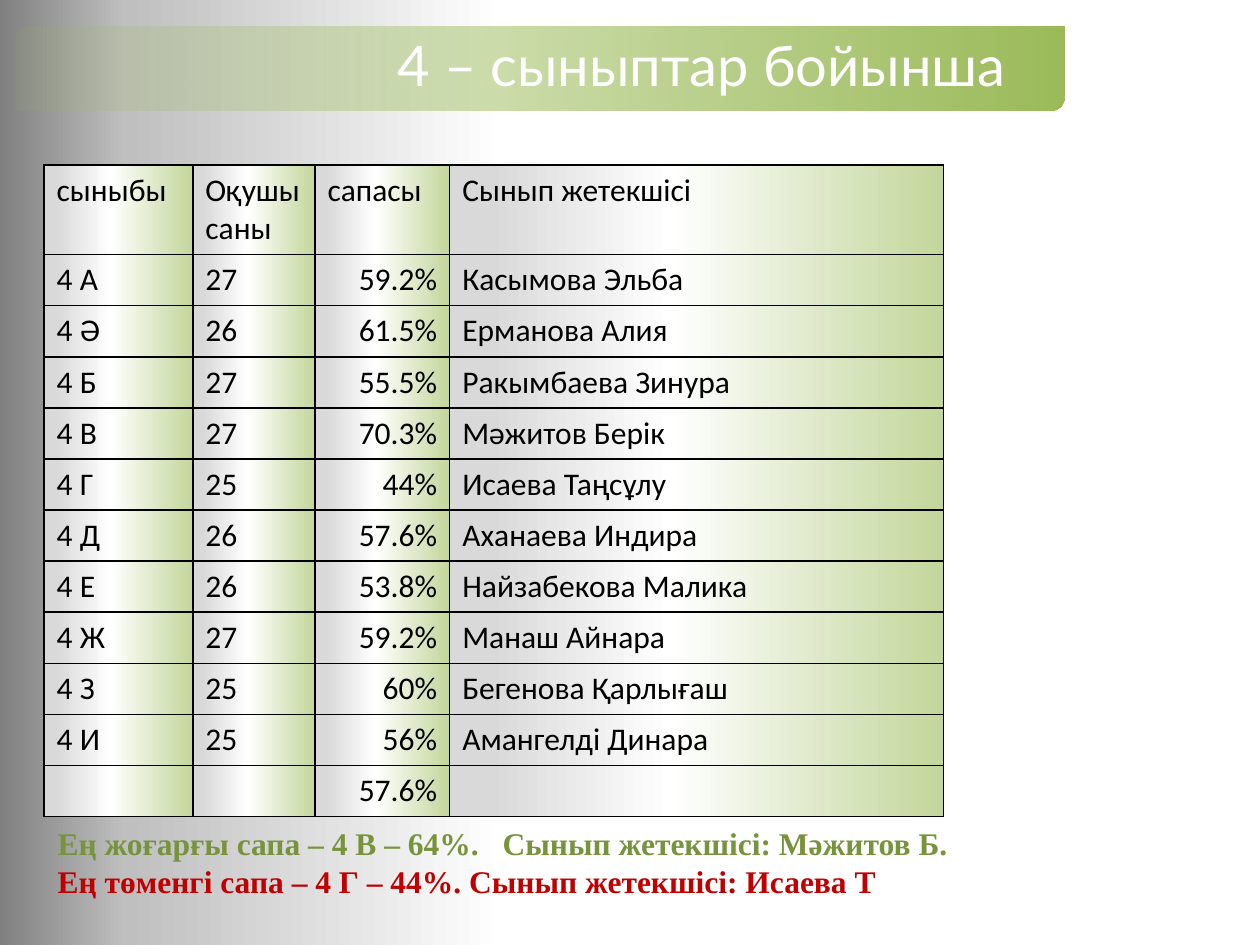
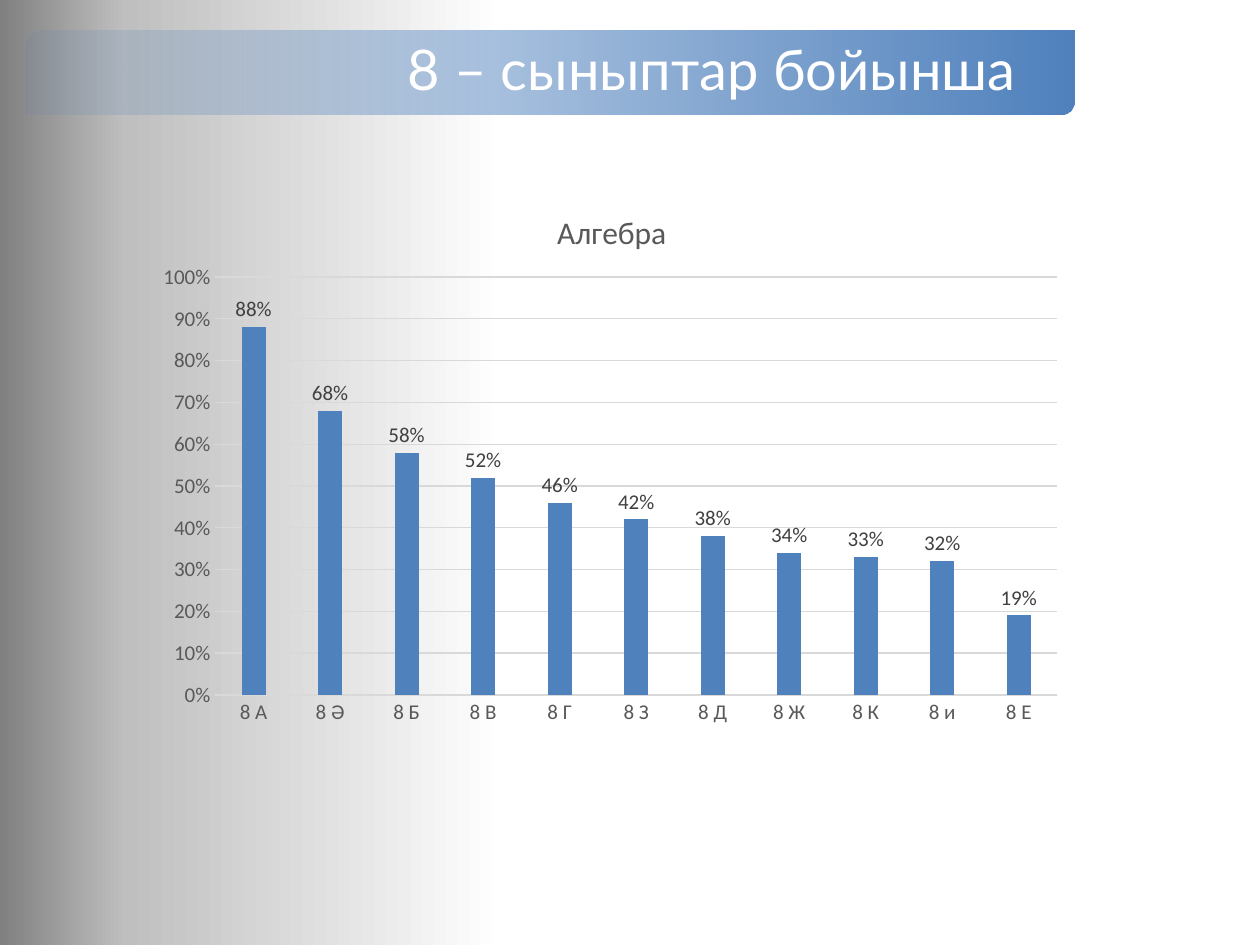
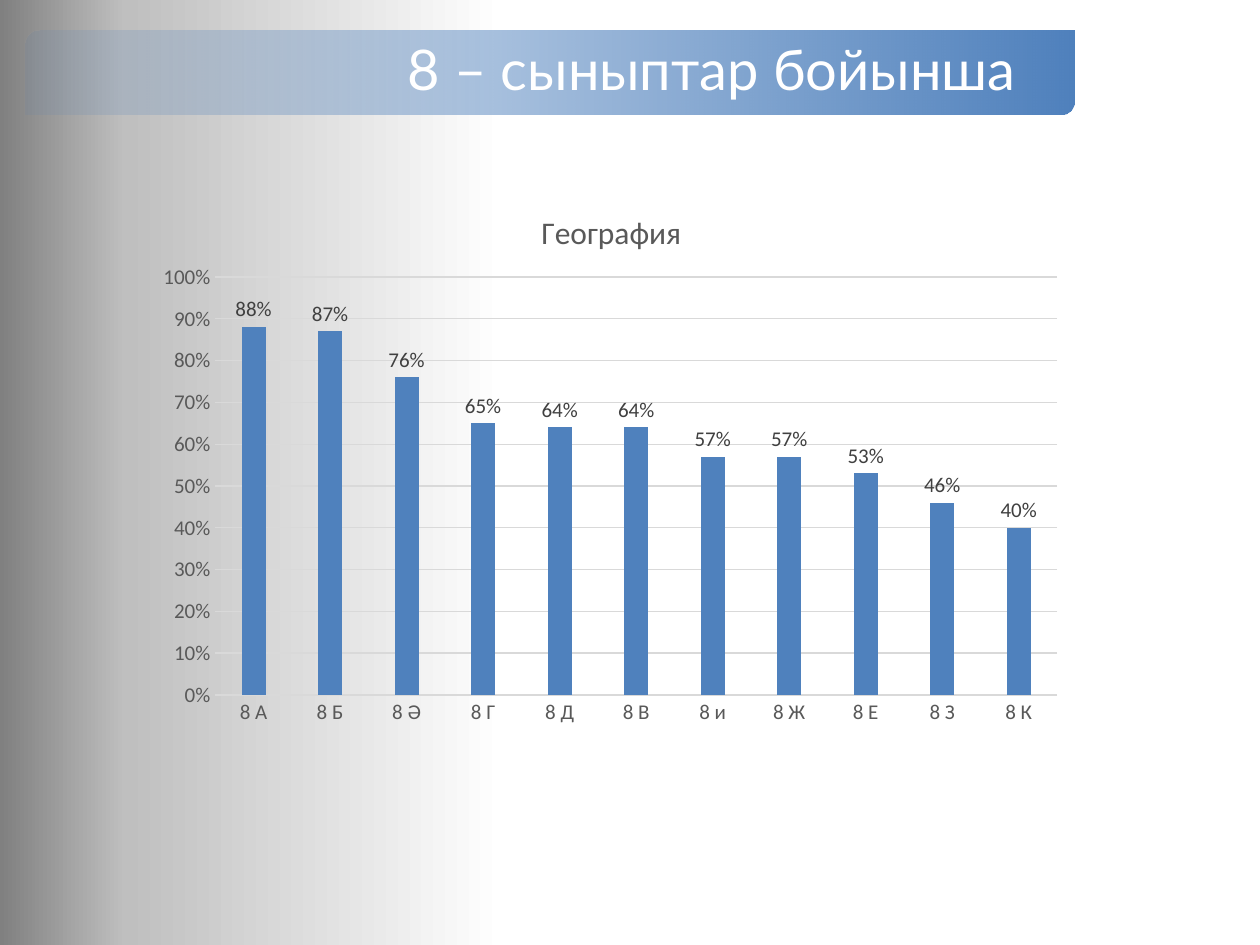
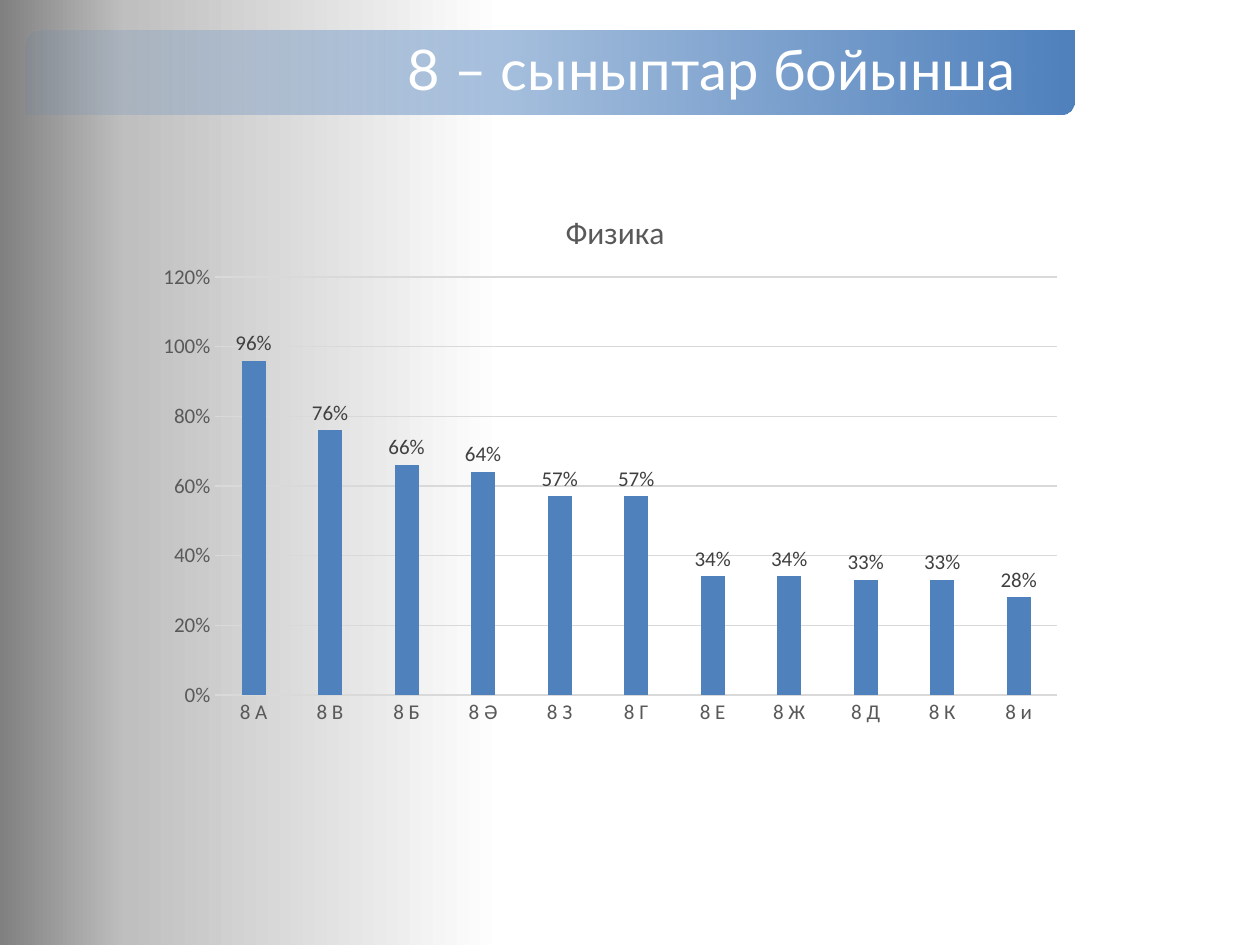
from dataclasses import dataclass

from lxml.etree import SubElement
from pptx import Presentation
from pptx.chart.data import CategoryChartData
from pptx.dml.color import RGBColor
from pptx.enum.chart import XL_CHART_TYPE as ChartType
from pptx.enum.chart import XL_LABEL_POSITION as LabelPosition
from pptx.enum.chart import XL_TICK_MARK as TickMark
from pptx.enum.shapes import MSO_SHAPE as Preset
from pptx.enum.text import MSO_ANCHOR as Anchor
from pptx.enum.text import MSO_AUTO_SIZE as AutoSize
from pptx.enum.text import PP_ALIGN as Align
from pptx.oxml.ns import qn
from pptx.util import Inches, Pt


@dataclass(frozen=True)
class Theme:
    green: str = "9BBB59"
    blue: str = "4F81BD"
    white: str = "FFFFFF"
    black: str = "000000"
    best: str = "77933C"
    worst: str = "C00000"
    axis_text: str = "595959"
    label_text: str = "404040"
    grid: str = "D9D9D9"
    title_font: str = "Lato"
    body_font: str = "Calibri"
    note_font: str = "Times New Roman"
    title_size: int = 32
    body_size: int = 18
    chart_size: int = 12
    # Gradient stops: position in percent, colour, opacity in percent
    page_stops: tuple = ((60, "FFFFFF", 100), (90, "BFBFBF", 100), (100, "808080", 100))
    cell_stops: tuple = ((0, "C3D69B", 100), (55, "FFFFFF", 100), (92, "D9D9D9", 100))


THEME = Theme()

GRADE_4_BAND = (0.12, 0.21, 8.33, 0.67)
GRADE_8_BAND = (0.2, 0.24, 8.33, 0.67)
TABLE_BOX = (0.35, 1.31, 7.14, 5.16)
NOTE_BOX = (0.36, 6.49, 7.59, 1.01)
CHART_BOX = (1.14, 1.4, 7.39, 4.44)

COLUMN_WIDTHS = (1.18, 0.97, 1.07, 3.92)
ROW_HEIGHT = 0.4
QUALITY_COLUMN = 2
CLASS_ROWS = [
    ("сыныбы", "Оқушы саны", "сапасы", "Сынып жетекшісі"),
    ("4 А", "27", "59.2%", "Касымова Эльба"),
    ("4 Ә", "26", "61.5%", "Ерманова Алия"),
    ("4 Б", "27", "55.5%", "Ракымбаева Зинура"),
    ("4 В", "27", "70.3%", "Мәжитов Берік"),
    ("4 Г", "25", "44%", "Исаева Таңсұлу"),
    ("4 Д", "26", "57.6%", "Аханаева Индира"),
    ("4 Е", "26", "53.8%", "Найзабекова Малика"),
    ("4 Ж", "27", "59.2%", "Манаш Айнара"),
    ("4 З", "25", "60%", "Бегенова Қарлығаш"),
    ("4 И", "25", "56%", "Амангелді Динара"),
    ("", "", "57.6%", ""),
]

# Subject, class letters, quality in percent, axis maximum, axis step
SUBJECTS = [
    ("Алгебра", "АӘБВГЗДЖКиЕ", (88, 68, 58, 52, 46, 42, 38, 34, 33, 32, 19), 1, 0.1),
    ("География", "АБӘГДВиЖЕЗК", (88, 87, 76, 65, 64, 64, 57, 57, 53, 46, 40), 1, 0.1),
    ("Физика", "АВБӘЗГЕЖДКи", (96, 76, 66, 64, 57, 57, 34, 34, 33, 33, 28), 1.2, 0.2),
]


def rgb(color):
    return RGBColor.from_string(color)


def inches(box):
    return [Inches(length) for length in box]


def style_font(font, size, color, name=THEME.body_font, bold=False):
    font.name, font.size, font.bold = name, Pt(size), bold
    font.color.rgb = rgb(color)


def write(para, text, size=THEME.body_size, color=THEME.black, align=None, tracking=0, **style):
    """Append one span to a paragraph; tracking is extra letter space in points."""
    span = para.add_run()
    span.text = text
    style_font(span.font, size, color, **style)
    if tracking:
        span.font._element.set("spc", str(tracking * 100))
    if align is not None:
        para.alignment = align


def set_gradients(element, stops, angle):
    """Give every gradient fill inside the element these stops and this angle."""
    for gradient in element.iter(qn("a:gradFill")):
        for child in list(gradient):
            gradient.remove(child)
        stop_list = SubElement(gradient, qn("a:gsLst"))
        for position, color, opacity in stops:
            stop = SubElement(stop_list, qn("a:gs"), pos=str(position * 1000))
            shade = SubElement(stop, qn("a:srgbClr"), val=color)
            if opacity < 100:
                SubElement(shade, qn("a:alpha"), val=str(opacity * 1000))
        SubElement(gradient, qn("a:lin"), ang=str(angle * 60000), scaled="0")


def set_borders(frame, color, width):
    for properties in frame.element.iter(qn("a:tcPr")):
        for index, side in enumerate(("lnL", "lnR", "lnT", "lnB")):
            line = SubElement(properties, qn(f"a:{side}"), w=str(Pt(width)))
            fill = SubElement(line, qn("a:solidFill"))
            SubElement(fill, qn("a:srgbClr"), val=color)
            properties.insert(index, line)


def set_layout(element, index, inner=False, **fractions):
    """Fix a chart part at fractions of the chart area."""
    for old in element.findall(qn("c:layout")):
        element.remove(old)
    layout = SubElement(element, qn("c:layout"))
    element.insert(index, layout)
    manual = SubElement(layout, qn("c:manualLayout"))
    if inner:
        SubElement(manual, qn("c:layoutTarget"), val="inner")
    for axis in "xy":
        SubElement(manual, qn(f"c:{axis}Mode"), val="edge")
    for name, value in fractions.items():
        SubElement(manual, qn(f"c:{name}"), val=f"{value:.3f}")


def add_page(deck):
    page = deck.slides.add_slide(deck.slide_layouts[6])
    page.background.fill.gradient()
    set_gradients(page.element, THEME.page_stops, 180)
    return page


def add_title_band(page, box, title, color):
    band = page.shapes.add_shape(Preset.ROUND_2_DIAG_RECTANGLE, *inches(box))
    band.shadow.inherit = False
    band.line.fill.background()
    band.fill.gradient()
    set_gradients(band.element, ((0, color, 10), (100, color, 100)), 0)
    text = band.text_frame
    text.word_wrap, text.vertical_anchor = True, Anchor.MIDDLE
    text.margin_left = Inches(3)
    text.margin_right = text.margin_top = text.margin_bottom = Inches(0.14)
    para = text.paragraphs[0]
    para.line_spacing = 0.9
    write(para, title, THEME.title_size, THEME.white, Align.LEFT, name=THEME.title_font)


def add_class_table(page, box, rows):
    frame = page.shapes.add_table(len(rows), len(COLUMN_WIDTHS), *inches(box))
    table = frame.table
    table.first_row = table.horz_banding = False
    for column, width in zip(table.columns, COLUMN_WIDTHS):
        column.width = Inches(width)
    for row_index, values in enumerate(rows):
        table.rows[row_index].height = Inches(ROW_HEIGHT)
        for column_index, value in enumerate(values):
            cell = table.cell(row_index, column_index)
            cell.fill.gradient()
            if value:
                is_quality = row_index and column_index == QUALITY_COLUMN
                align = Align.RIGHT if is_quality else Align.LEFT
                write(cell.text_frame.paragraphs[0], value, align=align)
    set_gradients(frame.element, THEME.cell_stops, 180)
    set_borders(frame, THEME.black, 1)


def add_note(page, box):
    text = page.shapes.add_textbox(*inches(box)).text_frame
    text.word_wrap, text.auto_size = False, AutoSize.SHAPE_TO_FIT_TEXT
    best, worst = text.paragraphs[0], text.add_paragraph()
    style = {"name": THEME.note_font, "bold": True}
    write(best, "Ең жоғарғы сапа – 4 В – 64%.", color=THEME.best, **style)
    write(best, " ", color=THEME.best, tracking=9, **style)
    write(best, "Сынып жетекшісі: Мәжитов Б.", color=THEME.best, **style)
    write(worst, "Ең төменгі сапа – 4 Г – 44%. Сынып жетекшісі: Исаева Т",
          color=THEME.worst, **style)


def style_axes(chart, maximum, step):
    for axis in (chart.category_axis, chart.value_axis):
        axis.major_tick_mark = axis.minor_tick_mark = TickMark.NONE
        style_font(axis.tick_labels.font, THEME.chart_size, THEME.axis_text)
    values = chart.value_axis
    values.minimum_scale, values.maximum_scale, values.major_unit = 0, maximum, step
    values.tick_labels.number_format = "0%"
    values.tick_labels.number_format_is_linked = False
    values.format.line.fill.background()
    for line in (chart.category_axis.format.line, values.major_gridlines.format.line):
        line.color.rgb, line.width = rgb(THEME.grid), Pt(0.75)


def style_columns(plot):
    plot.gap_width, plot.overlap, plot.vary_by_categories = 219, -27, False
    fill = plot.series[0].format.fill
    fill.solid()
    fill.fore_color.rgb = rgb(THEME.blue)
    plot.has_data_labels = True
    labels = plot.data_labels
    labels.show_value, labels.position = True, LabelPosition.OUTSIDE_END
    labels.number_format, labels.number_format_is_linked = "0%", False
    style_font(labels.font, THEME.chart_size, THEME.label_text)


def add_quality_chart(page, box, subject, letters, percents, maximum, step):
    data = CategoryChartData(number_format="0%")
    data.categories = [f"8 {letter}" for letter in letters]
    data.add_series("Series 1", [percent / 100 for percent in percents])
    chart = page.shapes.add_chart(ChartType.COLUMN_CLUSTERED, *inches(box), data).chart
    style_font(chart.font, 10, THEME.black)
    chart.has_legend = False
    chart.has_title = True
    title = chart.chart_title
    write(title.text_frame.paragraphs[0], subject, color=THEME.axis_text)
    # Centre the title: half a letter is about 0.9% of the chart width
    set_layout(title.element, 1, x=0.5 - 0.0088 * len(subject), y=0.05)
    plot_area = chart.element.find(".//" + qn("c:plotArea"))
    set_layout(plot_area, 0, inner=True, x=0.077, y=0.18, w=0.904, h=0.747)
    style_axes(chart, maximum, step)
    style_columns(chart.plots[0])


def build_table_page(deck):
    page = add_page(deck)
    add_title_band(page, GRADE_4_BAND, "4 – сыныптар бойынша", THEME.green)
    add_class_table(page, TABLE_BOX, CLASS_ROWS)
    add_note(page, NOTE_BOX)


def build_chart_page(deck, subject):
    page = add_page(deck)
    add_title_band(page, GRADE_8_BAND, "8 – сыныптар бойынша", THEME.blue)
    add_quality_chart(page, CHART_BOX, *subject)


def main():
    deck = Presentation()
    deck.slide_width, deck.slide_height = Inches(10), Inches(7.5)
    build_table_page(deck)
    for subject in SUBJECTS:
        build_chart_page(deck, subject)
    deck.save("out.pptx")


if __name__ == "__main__":
    main()
